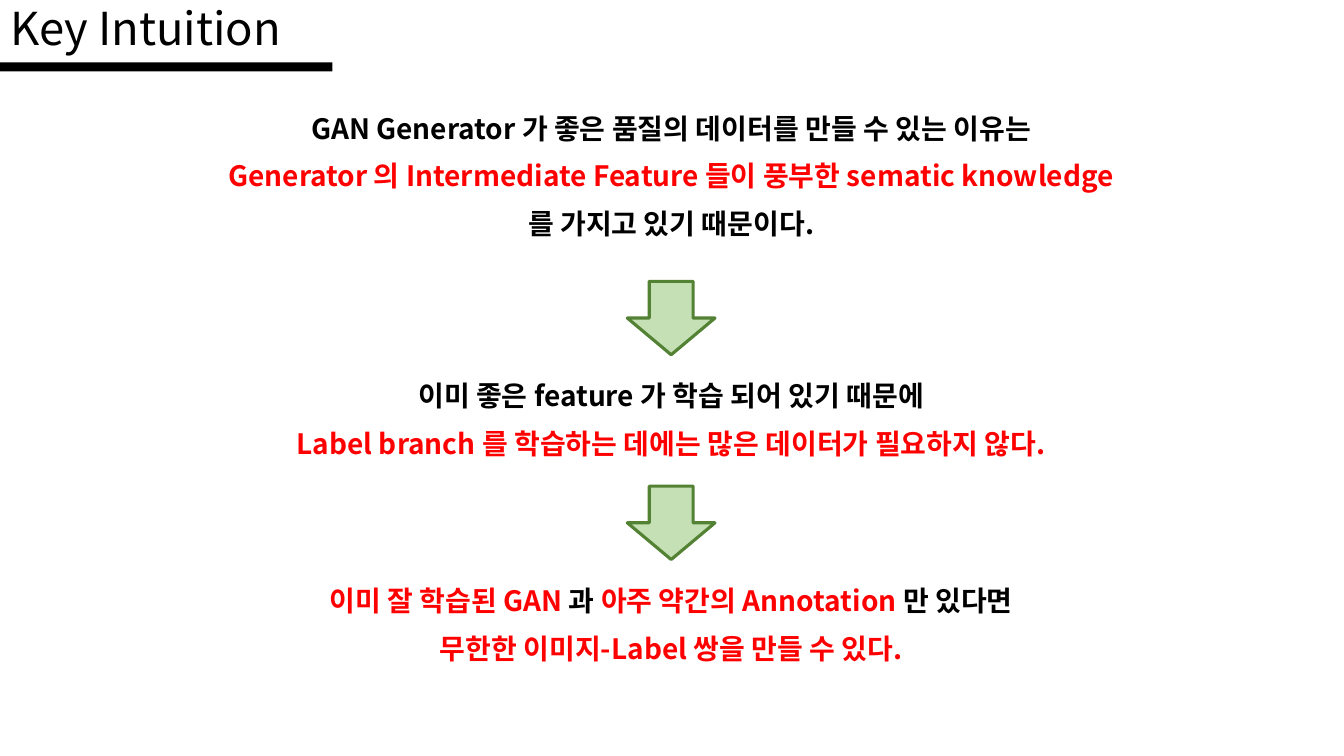
from dataclasses import dataclass

from lxml.etree import SubElement
from pptx import Presentation
from pptx.dml.color import RGBColor
from pptx.enum.shapes import MSO_SHAPE
from pptx.enum.text import MSO_ANCHOR, MSO_AUTO_SIZE, PP_ALIGN
from pptx.oxml.ns import qn
from pptx.util import Cm, Pt


@dataclass(frozen=True)
class Theme:
    font: str = "Noto Sans CJK KR"
    ink: str = "000000"
    accent: str = "FF0000"
    arrow_fill: str = "C5E0B4"
    arrow_line: str = "548235"
    title_size: float = 32.4
    body_size: float = 20
    space: float = 10


T = Theme()

# Each line is a list of (text, colour) pieces.
REASON = [
    [("GAN Generator 가 좋은 품질의 데이터를 만들 수 있는 이유는", T.ink)],
    [("Generator 의 Intermediate Feature 들이 풍부한 sematic knowledge", T.accent)],
    [("를 가지고 있기 때문이다.", T.ink)],
]
CONSEQUENCES = [
    [
        [("이미 좋은 feature 가 학습 되어 있기 때문에", T.ink)],
        [("Label branch 를 학습하는 데에는 많은 데이터가 필요하지 않다.", T.accent)],
    ],
    [
        [("이미 잘 학습된 GAN ", T.accent), ("과 ", T.ink),
         ("아주 약간의 Annotation ", T.accent), ("만 있다면", T.ink)],
        [("무한한 이미지-Label 쌍을 만들 수 있다.", T.accent)],
    ],
]


def place(sp, left, top, width, height):
    sp.left, sp.top, sp.width, sp.height = Cm(left), Cm(top), Cm(width), Cm(height)


def write(sp, lines, *, size=T.body_size, bold=True, align=PP_ALIGN.CENTER,
          anchor=MSO_ANCHOR.TOP, spacing=1.0):
    tf = sp.text_frame
    tf.word_wrap = True
    tf.auto_size = MSO_AUTO_SIZE.NONE
    tf.vertical_anchor = anchor
    for i, line in enumerate(lines):
        p = tf.paragraphs[0] if i == 0 else tf.add_paragraph()
        p.alignment = align
        p.line_spacing = spacing
        p.space_before = Pt(T.space if i else 0)
        pPr = p._p.get_or_add_pPr()
        pPr.set("marL", "0")
        pPr.set("indent", "0")
        SubElement(pPr, qn("a:buNone"))
        for text, color in line:
            r = p.add_run()
            r.text = text
            r.font.name = T.font
            r.font.size = Pt(size)
            r.font.bold = bold
            r.font.color.rgb = RGBColor.from_string(color)
            SubElement(r._r.get_or_add_rPr(), qn("a:ea"), typeface=T.font)


def add_solid(s, kind, box, fill, line=None):
    sp = s.shapes.add_shape(kind, *map(Cm, box))
    sp.shadow.inherit = False
    sp.fill.solid()
    sp.fill.fore_color.rgb = RGBColor.from_string(fill)
    if line:
        sp.line.color.rgb = RGBColor.from_string(line)
        sp.line.width = Pt(2.25)
    else:
        sp.line.fill.background()


def add_header(s, left, top, width, height):
    title = s.shapes.title
    place(title, left, top, width, height)
    write(title, [[("Key Intuition", T.ink)]], size=T.title_size, bold=False,
          align=PP_ALIGN.LEFT, anchor=MSO_ANCHOR.MIDDLE, spacing=0.9)
    add_solid(s, MSO_SHAPE.RECTANGLE, (left, top + height, 8.38, 0.23), T.ink)


def add_reason(s, left, top, width, height):
    body = s.placeholders[1]
    place(body, left, top, width, height)
    write(body, REASON)


def add_consequence(s, lines, left, top, width, height):
    """Stack a down arrow and the text it leads to inside the box."""
    arrow_w, arrow_h, text_h = 2.21, 1.85, 2.34
    arrow_left = left + (width - arrow_w) / 2
    add_solid(s, MSO_SHAPE.DOWN_ARROW, (arrow_left, top, arrow_w, arrow_h),
              T.arrow_fill, T.arrow_line)
    text_top = top + height - text_h
    write(s.shapes.add_textbox(Cm(left), Cm(text_top), Cm(width), Cm(text_h)), lines)


def main():
    prs = Presentation()
    prs.slide_width, prs.slide_height = Cm(33.87), Cm(19.05)
    s = prs.slides.add_slide(prs.slide_layouts[1])
    left, width, step = 3.63, 26.57, 5.16
    add_header(s, 0, 0, 29.21, 1.57)
    add_reason(s, left, 2.67, width, 3.91)
    for i, lines in enumerate(CONSEQUENCES):
        add_consequence(s, lines, left, 7.09 + i * step, width, 4.67)
    prs.save("out.pptx")


if __name__ == "__main__":
    main()
